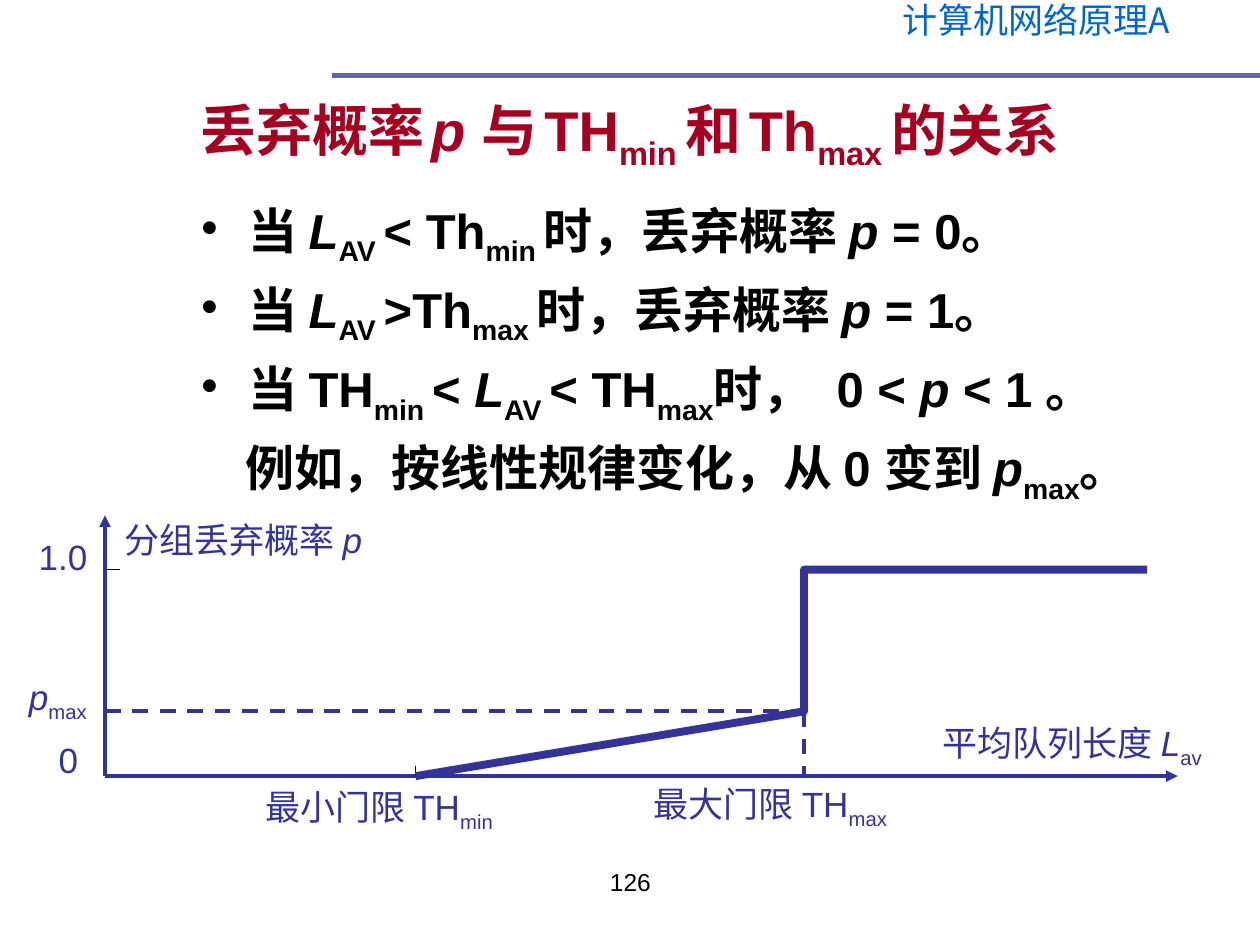
from lxml.etree import SubElement
from pptx import Presentation
from pptx.dml.color import RGBColor
from pptx.enum.dml import MSO_LINE
from pptx.enum.shapes import MSO_CONNECTOR
from pptx.enum.text import MSO_ANCHOR, MSO_AUTO_SIZE, PP_ALIGN
from pptx.oxml.ns import qn
from pptx.util import Pt

RED = RGBColor(0xA5, 0x00, 0x21)
BLACK = RGBColor(0x00, 0x00, 0x00)
NAVY = RGBColor(0x33, 0x33, 0x99)
SLATE = RGBColor(0x66, 0x66, 0x99)
BLUE = RGBColor(0x00, 0x66, 0xCC)
LATIN = "Arial"
CHINESE = "Noto Sans CJK SC"

# Run marks: i italic, s subscript, w wide space; a number sets the size
TITLE = ["丢弃概率", (" ", 16), ("p ", "i"), "与", (" ", 18), "TH", ("min ", "s"),
         "和", (" ", 18), "Th", ("max ", "s"), "的关系"]
AVERAGE = [("L", "i"), ("AV ", "s")]
RULES = [
    ["当 ", *AVERAGE, "< Th", ("min ", "s"), "时，丢弃概率 ", ("p", "i"), " = 0。"],
    ["当 ", *AVERAGE, ">Th", ("max ", "s"), "时，丢弃概率 ", ("p", "i"), " = 1。"],
    ["当 TH", ("min ", "s"), "< ", *AVERAGE, "< TH", ("max", "s"), "时，",
     (" ", "w"), "0 < ", ("p ", "i"), "< 1 。"],
]
EXAMPLE = ["例如，按线性规律变化，从 0 变到 ", ("p", "i"), ("max", "s"), "。"]


def write(para, parts, size=20, color=NAVY, bold=False, font=LATIN, align=None):
    """Fill a paragraph with plain strings and (text, mark) pairs."""
    para.alignment = align
    for part in parts:
        text, mark = (part, "") if isinstance(part, str) else part
        span = para.add_run()
        span.text = text
        span.font.size = Pt(mark if isinstance(mark, int) else size)
        span.font.bold = bold
        span.font.italic = mark == "i"
        span.font.color.rgb = color
        span.font.name = font
        properties = span.font._element
        SubElement(properties, qn("a:ea")).set("typeface", CHINESE)
        if mark == "s":
            properties.set("baseline", "-25000")
        elif mark == "w":
            properties.set("spc", "800")


def add_text(page, left, top, width, height, parts, **style):
    box = page.shapes.add_textbox(Pt(left), Pt(top), Pt(width), Pt(height))
    write(box.text_frame.paragraphs[0], parts, **style)
    return box.text_frame


def add_line(page, start, end, color=NAVY, width=2.25, dash=False, arrow=False):
    ends = [Pt(value) for value in (*start, *end)]
    connector = page.shapes.add_connector(MSO_CONNECTOR.STRAIGHT, *ends)
    connector.line.color.rgb = color
    connector.line.width = Pt(width)
    if dash:
        connector.line.dash_style = MSO_LINE.DASH
    if arrow:
        SubElement(connector.line._get_or_add_ln(), qn("a:tailEnd")).set("type", "triangle")
    SubElement(connector._element.spPr, qn("a:effectLst"))


def add_header(page, left, top, width, height):
    frame = add_text(page, left, top, width, height, ["计算机网络原理A"],
                     color=BLUE, font=CHINESE, align=PP_ALIGN.CENTER)
    frame.paragraphs[0].line_spacing = 0.8
    add_line(page, (190, 43.2), (720, 43.2), color=SLATE, width=3)


def add_title(page, left, top, width, height):
    title = page.shapes.title
    title.left, title.top, title.width, title.height = map(Pt, (left, top, width, height))
    title.text_frame.vertical_anchor = MSO_ANCHOR.MIDDLE
    write(title.text_frame.paragraphs[0], TITLE, size=32, color=RED, bold=True,
          align=PP_ALIGN.CENTER)


def add_rules(page, left, top, width, height):
    box = page.shapes.add_textbox(Pt(left), Pt(top), Pt(width), Pt(height))
    frame = box.text_frame
    frame.word_wrap = True
    for index, parts in enumerate([*RULES, EXAMPLE]):
        para = frame.add_paragraph() if index else frame.paragraphs[0]
        properties = para._p.get_or_add_pPr()
        if parts is EXAMPLE:
            properties.set("marL", str(Pt(25)))
        else:
            properties.set("marL", str(Pt(27)))
            properties.set("indent", str(Pt(-27)))
            SubElement(properties, qn("a:buChar")).set("char", "•")
        if index:
            para.space_before = Pt(7)
        write(para, parts, size=28, color=BLACK, bold=True)


def add_plot(page, left, top, width, height):
    """Drop probability against average queue length."""
    bottom = top + height
    minimum, maximum, curve_end = left + 177.5, left + 399.5, left + 595.5
    full, partial = top + 31, top + 112

    # Axes
    add_line(page, (left, bottom), (left + width, bottom), arrow=True)
    add_line(page, (left, bottom), (left, top), arrow=True)

    # Ticks and guides
    add_line(page, (minimum, bottom - 6), (minimum, bottom), color=BLACK, width=0.75)
    add_line(page, (left, full), (left + 8.5, full), color=BLACK, width=0.75)
    add_line(page, (maximum, partial), (maximum, bottom), dash=True)
    add_line(page, (left, partial), (maximum, partial), dash=True)

    # Curve
    builder = page.shapes.build_freeform(Pt(minimum), Pt(bottom))
    corners = [(maximum, partial), (maximum, full), (curve_end, full)]
    builder.add_line_segments([(Pt(x), Pt(y)) for x, y in corners], close=False)
    curve = builder.convert_to_shape()
    curve.shadow.inherit = False
    curve.fill.background()
    curve.line.color.rgb = NAVY
    curve.line.width = Pt(4.5)
    SubElement(curve.line._get_or_add_ln(), qn("a:round"))

    # Labels: offset from the plot's corner, size, text
    labels = [
        (84.5, 151, 155, 34.5, ["最小门限 TH", ("min", "s")]),
        (306.5, 149, 157.5, 34.5, ["最大门限 TH", ("max", "s")]),
        (471.5, 114.5, 173, 34.5, ["平均队列长度 ", ("L", "i"), ("av", "s")]),
        (4, -2, 160.5, 31.5, ["分组丢弃概率 ", ("p", "i")]),
        (-45, 8, 42, 31.5, ["1.0"]),
        (-33.5, 124, 25, 31.5, ["0"]),
        (-50.5, 88, 47.5, 34.5, [("p", "i"), ("max", "s")]),
    ]
    for across, down, label_width, label_height, parts in labels:
        frame = add_text(page, left + across, top + down, label_width, label_height, parts)
        frame.word_wrap = False
        frame.auto_size = MSO_AUTO_SIZE.SHAPE_TO_FIT_TEXT


def main():
    deck = Presentation()
    deck.slide_width, deck.slide_height = Pt(720), Pt(540)
    page = deck.slides.add_slide(deck.slide_layouts[5])
    add_header(page, 484.5, 0, 215.5, 31.5)
    add_title(page, 36, 31.5, 648, 90)
    add_plot(page, 60, 294.5, 613, 149)
    add_rules(page, 108, 111, 612, 187)
    # Page number
    add_text(page, 246, 492, 228.5, 37.5, ["126"], size=14, color=BLACK,
             align=PP_ALIGN.CENTER).word_wrap = True
    deck.save("out.pptx")


if __name__ == "__main__":
    main()
